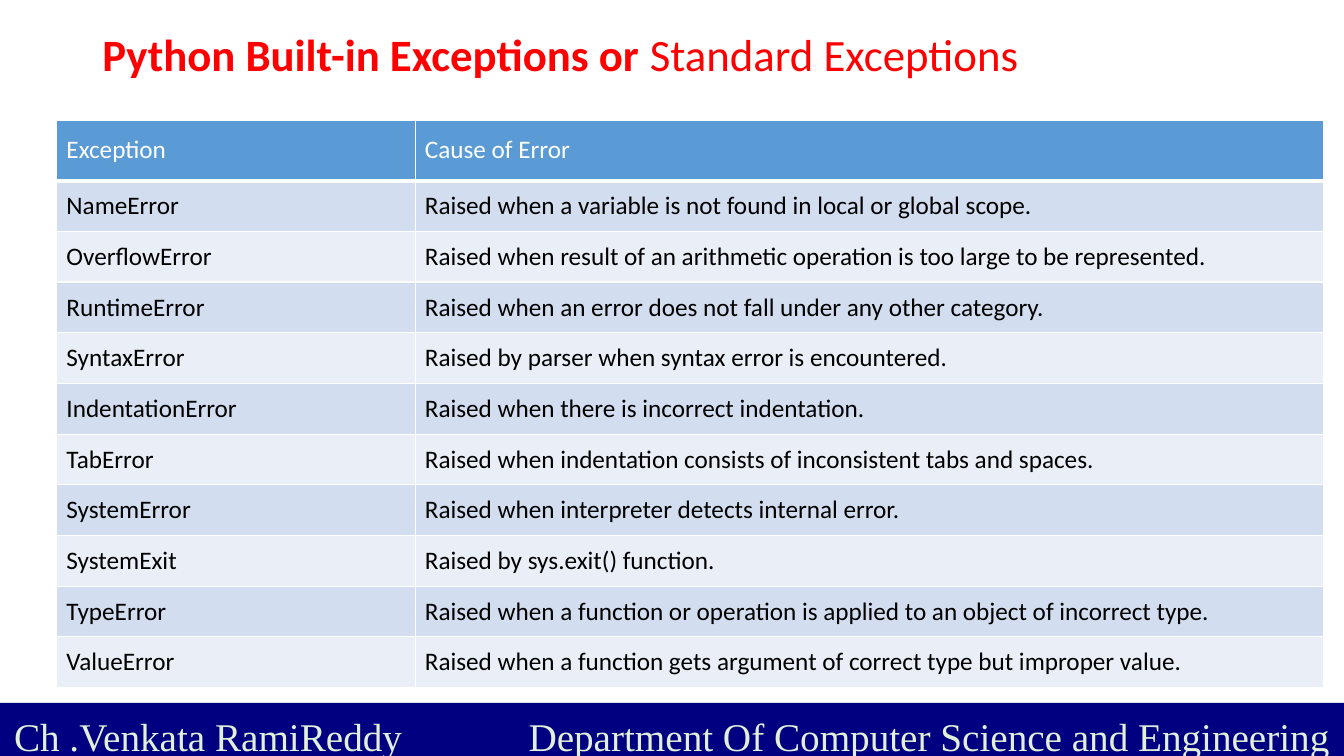
from lxml import etree
from pptx import Presentation
from pptx import util as u
from pptx.dml.color import RGBColor
from pptx.enum import shapes, text
from pptx.oxml import ns

Pt = u.Pt
COLORS = {"title": "FF0000", "head": "5B9BD5", "odd": "D2DEEF", "even": "EAEFF7",
          "white": "FFFFFF", "black": "000000", "navy": "000080", "mint": "E2F0D9"}
ROWS = [
    ("Exception", "Cause of Error"),
    ("NameError", "Raised when a variable is not found in local or global scope."),
    ("OverflowError", "Raised when result of an arithmetic operation is too large to be represented."),
    ("RuntimeError", "Raised when an error does not fall under any other category."),
    ("SyntaxError", "Raised by parser when syntax error is encountered."),
    ("IndentationError", "Raised when there is incorrect indentation."),
    ("TabError", "Raised when indentation consists of inconsistent tabs and spaces."),
    ("SystemError", "Raised when interpreter detects internal error."),
    ("SystemExit", "Raised by sys.exit() function."),
    ("TypeError", "Raised when a function or operation is applied to an object of incorrect type."),
    ("ValueError", "Raised when a function gets argument of correct type but improper value."),
]


def color(name):
    """Return the named colour."""
    return RGBColor.from_string(COLORS[name])


def style(para, face, size, tint):
    """Set the font of a paragraph."""
    font = para.font
    font.name, font.size = face, Pt(size)
    font.color.rgb = color(tint)


def edge(cell, side, width):
    """Draw a white border on one side of a cell."""
    props = cell._tc.get_or_add_tcPr()
    line = etree.SubElement(props, ns.qn(f"a:ln{side}"), w=str(Pt(width)))
    fill = etree.SubElement(line, ns.qn("a:solidFill"))
    etree.SubElement(fill, ns.qn("a:srgbClr"), val=COLORS["white"])


def add_title(slide, x, y, w, h):
    """Place the heading in its box."""
    frame = slide.shapes.add_textbox(Pt(x), Pt(y), Pt(w), Pt(h)).text_frame
    frame.word_wrap = True
    frame.vertical_anchor = text.MSO_ANCHOR.MIDDLE
    para = frame.paragraphs[0]
    para.line_spacing = 0.9
    style(para, "Calibri", 32, "title")
    for words, bold in (("Python Built-in Exceptions or ", True), ("Standard Exceptions", False)):
        run = para.add_run()
        run.text, run.font.bold = words, bold


def fill_cell(cell, words, row):
    """Write and style one cell of the given row."""
    head = row == 0
    for side in "LRT":
        edge(cell, side, 3 if side == "T" and row == 1 else 1)
    edge(cell, "B", 3 if head else 1)
    cell.fill.solid()
    cell.fill.fore_color.rgb = color("head" if head else "odd" if row % 2 else "even")
    cell.vertical_anchor = text.MSO_ANCHOR.MIDDLE
    cell.margin_left, cell.margin_right = Pt(7), Pt(6)
    cell.margin_top = cell.margin_bottom = Pt(6)
    cell.text = words
    para = cell.text_frame.paragraphs[0]
    style(para, "Calibri", 18, "white" if head else "black")
    para.font.bold = False


def add_grid(slide, x, y, w, h):
    """Place the table of exceptions in its box."""
    table = slide.shapes.add_table(len(ROWS), 2, Pt(x), Pt(y), Pt(w), Pt(h)).table
    first, top = 256, 43.4
    for col, width in zip(table.columns, (first, w - first)):
        col.width = Pt(width)
    for i, pair in enumerate(ROWS):
        table.rows[i].height = Pt(top if i == 0 else (h - top) / (len(ROWS) - 1))
        for j, words in enumerate(pair):
            fill_cell(table.cell(i, j), words, i)


def add_foot(slide, x, y, w, h):
    """Place the footer band with its name and department."""
    band = slide.shapes.add_shape(shapes.MSO_SHAPE.RECTANGLE, Pt(x), Pt(y), Pt(w), Pt(h))
    band.shadow.inherit = False
    band.fill.solid()
    band.fill.fore_color.rgb = color("navy")
    band.line.fill.background()
    frame = band.text_frame
    frame.word_wrap = True
    frame.vertical_anchor = text.MSO_ANCHOR.TOP
    frame.margin_left, frame.margin_top = Pt(10), Pt(7)
    frame.margin_right = frame.margin_bottom = 0
    para = frame.paragraphs[0]
    para.text = "Ch .Venkata RamiReddy\tDepartment Of Computer Science and Engineering"
    para.alignment = text.PP_ALIGN.LEFT
    tabs = etree.Element(ns.qn("a:tabLst"))
    etree.SubElement(tabs, ns.qn("a:tab"), pos=str(Pt(367.5)), algn="l")
    para._p.get_or_add_pPr().insert(0, tabs)
    style(para, "Times New Roman", 28, "mint")


def main():
    """Build and save the slide."""
    deck = Presentation()
    deck.slide_width, deck.slide_height = Pt(960), Pt(540)
    slide = deck.slides.add_slide(deck.slide_layouts[6])
    add_title(slide, 66, 21.6, 828, 38.2)
    add_foot(slide, 0, 502, 960, 38)
    add_grid(slide, 40.5, 85.7, 905, 405.4)
    deck.save("out.pptx")


if __name__ == "__main__":
    main()
